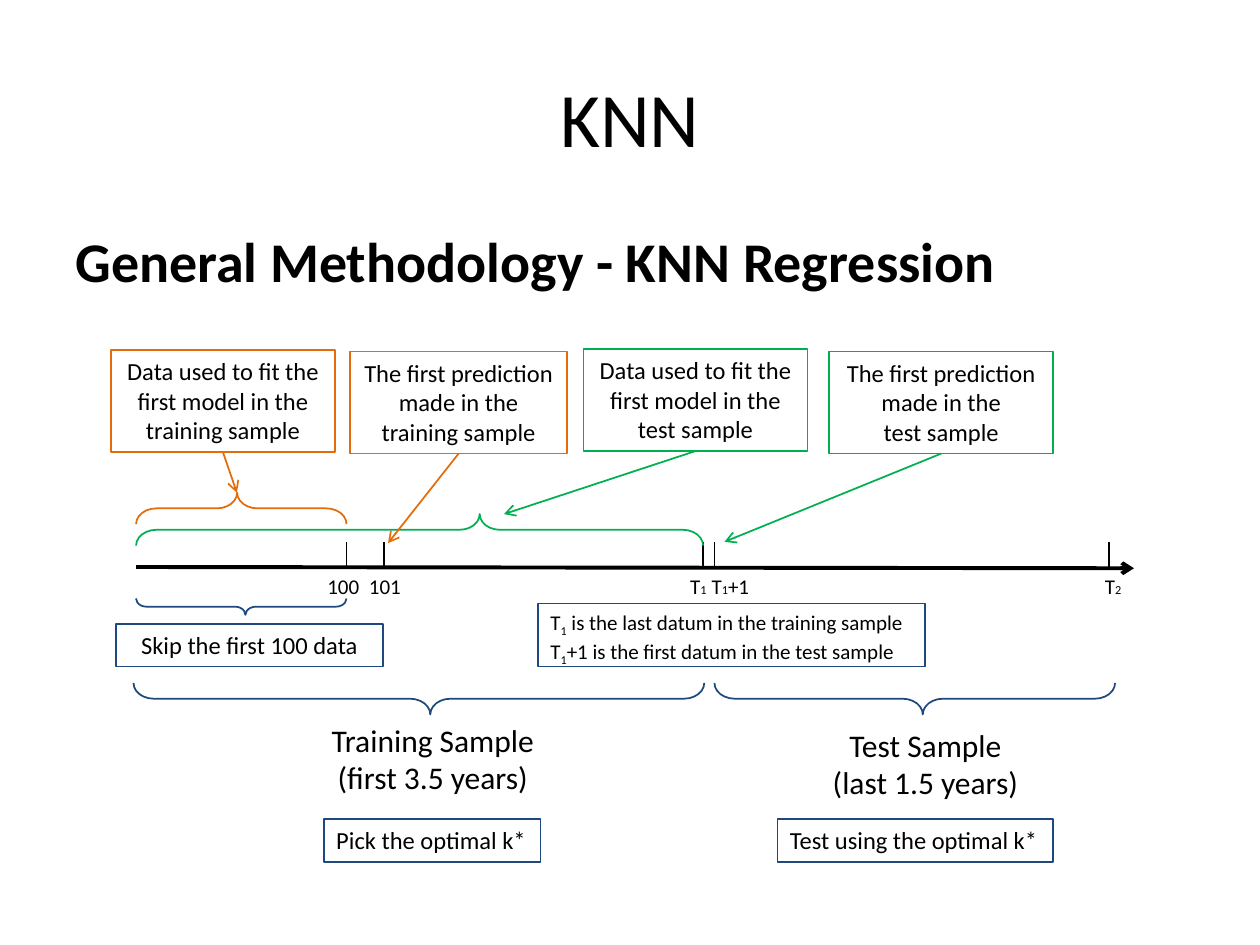
from lxml import etree
from pptx import Presentation
from pptx import util as u
from pptx.dml.color import RGBColor
from pptx.enum import shapes, text
from pptx.oxml.ns import qn

SCALE = 9144
FONT = "Calibri"
INK = {"black": "000000", "blue": "1F497D", "orange": "E46C0A", "green": "00B050"}
LEFT, MID = text.PP_ALIGN.LEFT, text.PP_ALIGN.CENTER
TOP = text.MSO_ANCHOR.TOP


def px(*vals):
    return [u.Emu(round(val * SCALE)) for val in vals]


def tint(name):
    return RGBColor.from_string(INK[name])


def stroke(item, color, width=1):
    item.line.color.rgb = tint(color)
    item.line.width = u.Pt(width)


def write(shape, lines, size, align=LEFT, wrap=False, bold=False, anchor=TOP, grow=True):
    frame = shape.text_frame
    frame.word_wrap = wrap
    frame.vertical_anchor = anchor
    if grow:
        frame.auto_size = text.MSO_AUTO_SIZE.SHAPE_TO_FIT_TEXT
    for num, line in enumerate(lines):
        para = frame.paragraphs[0] if num == 0 else frame.add_paragraph()
        para.alignment = align
        for part in [(line,)] if isinstance(line, str) else line:
            run = para.add_run()
            run.text = part[0]
            font = run.font
            font.name = FONT
            font.size = u.Pt(part[1] if len(part) > 1 else size)
            font.bold = bold
            font.color.rgb = tint("black")
            if len(part) > 2:
                run._r.get_or_add_rPr().set("baseline", str(part[2] * 1000))


def label(slide, area, lines, size, **style):
    box = slide.shapes.add_textbox(*px(*area))
    write(box, lines, size, **style)


def panel(slide, area, color, lines, size=14, **style):
    box = slide.shapes.add_shape(shapes.MSO_SHAPE.RECTANGLE, *px(*area))
    box.shadow.inherit = False
    box.fill.background()
    stroke(box, color)
    write(box, lines, size, **style)
    return box


def brace(slide, area, color, up=False, tip=0.52):
    x, y, w, h = area
    left, top = x + (w - h) / 2, y + (h - w) / 2
    item = slide.shapes.add_shape(shapes.MSO_SHAPE.LEFT_BRACE, *px(left, top, h, w))
    item.rotation = 90 if up else 270
    item.adjustments[0] = 0.641
    item.adjustments[1] = tip
    item.shadow.inherit = False
    item.fill.background()
    stroke(item, color)


def line(slide, ends, color="black", width=1, arrow=False, source=None):
    item = slide.shapes.add_connector(shapes.MSO_CONNECTOR.STRAIGHT, *px(*ends))
    stroke(item, color, width)
    props = item._element.spPr
    if arrow:
        etree.SubElement(props.find(qn("a:ln")), qn("a:tailEnd"), type="arrow")
    etree.SubElement(props, qn("a:effectLst"))
    if source is not None:
        item.begin_connect(source, 2)


def axis(slide):
    line(slide, (108, 450, 900, 451), width=2.25, arrow=True)
    for x in (275, 305, 558, 567, 880):
        line(slide, (x, 430, x, 450))
    marks = [
        (250, 50, "100"),
        (283, 50, "101"),
        (538, 37, [("T",), ("1", 7)]),
        (555, 50, [("T",), ("1", 7), ("+1",)]),
        (867, 33, [("T",), ("2", 7)]),
    ]
    for x, w, mark in marks:
        label(slide, (x, 450, w, 30), [mark], 12)


def braces(slide):
    brace(slide, (106, 542, 453, 25), "blue")
    brace(slide, (567, 542, 318, 25), "blue")
    brace(slide, (108, 475, 167, 13), "blue")
    brace(slide, (108, 391, 167, 25), "orange", up=True)
    brace(slide, (108, 408, 450, 25), "green", up=True, tip=0.394)


def callouts(slide):
    data = ["Data used to fit the", "first model in the"]
    guess = ["The first prediction", "made in the"]
    train, test = "training sample", "test sample"
    notes = [
        ((88, 278, 178, 81), "orange", data + [train], (188, 391)),
        ((278, 279, 172, 81), "orange", guess + [train], (308, 431)),
        ((463, 277, 178, 81), "green", data + [test], (400, 408)),
        ((658, 279, 178, 81), "green", guess + [test], (575, 430)),
    ]
    for area, color, lines, goal in notes:
        x, y, w, h = area
        box = panel(slide, area, color, lines, align=MID)
        line(slide, (x + w / 2, y + h, *goal), color, arrow=True, source=box)


def samples(slide):
    label(slide, (252, 567, 183, 71), ["Training Sample", "(first 3.5 years)"], 18, align=MID)
    label(slide, (650, 571, 169, 71), ["Test Sample", "(last 1.5 years)"], 18, align=MID)
    panel(slide, (257, 650, 172, 34), "blue", ["Pick the optimal k*"])
    panel(slide, (617, 650, 219, 34), "blue", ["Test using the optimal k*"])
    panel(slide, (92, 495, 212, 34), "blue", ["Skip the first 100 data"], align=MID, wrap=True)
    ends = [" is the last datum in the training sample", "+1 is the first datum in the test sample"]
    lines = [[("T",), ("1", 12, -25), (end,)] for end in ends]
    panel(slide, (427, 479, 307, 50), "blue", lines, 12)


def main():
    deck = Presentation()
    deck.slide_width, deck.slide_height = px(1000, 750)
    slide = deck.slides.add_slide(deck.slide_layouts[6])
    label(slide, (50, 175, 900, 495), ["General Methodology - KNN Regression"], 32,
          bold=True, wrap=True, grow=False)
    label(slide, (50, 30, 900, 125), ["KNN"], 44, align=MID, wrap=True,
          anchor=text.MSO_ANCHOR.MIDDLE, grow=False)
    axis(slide)
    braces(slide)
    callouts(slide)
    samples(slide)
    deck.save("out.pptx")


if __name__ == "__main__":
    main()
